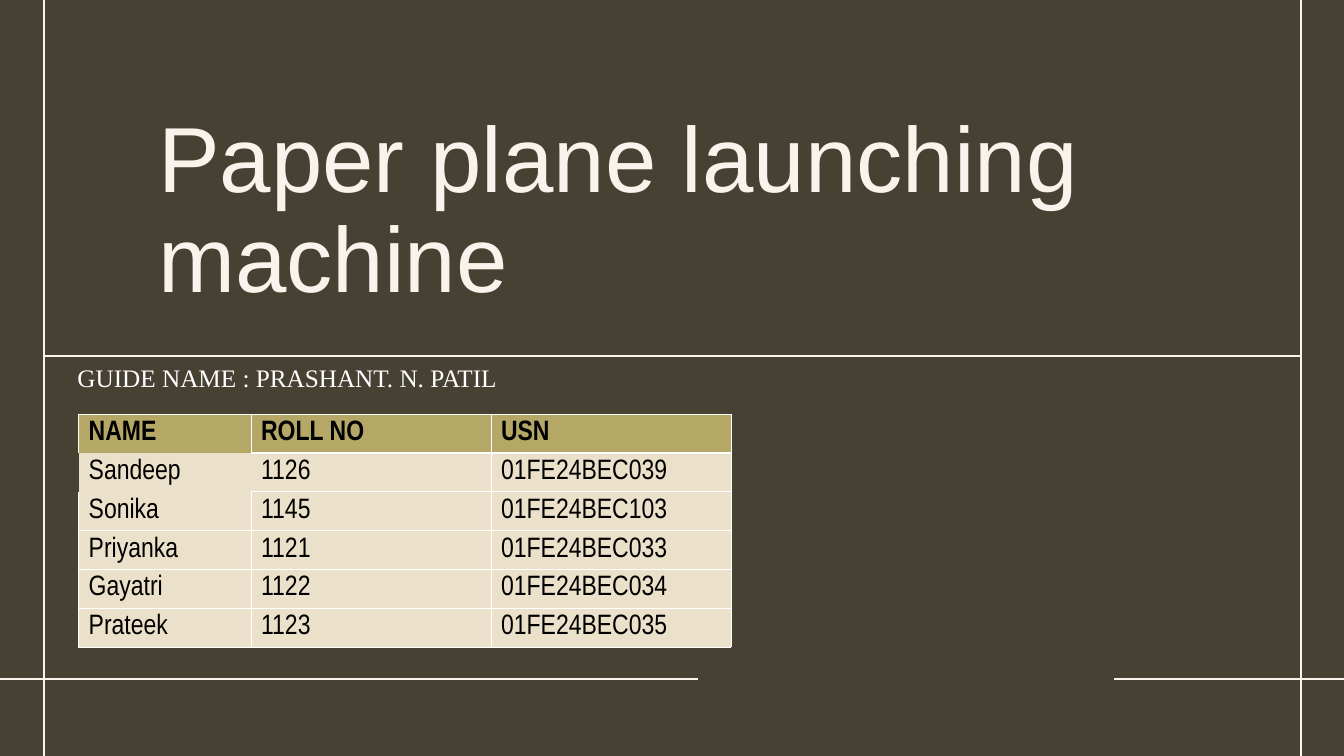
from dataclasses import dataclass

from lxml import etree
from pptx import Presentation
from pptx.dml.color import RGBColor
from pptx.enum import shapes, text
from pptx.oxml import ns
from pptx.util import Inches, Pt

COLORS = {
    "background": "474134",
    "cream": "F8F4EC",
    "white": "FFFFFF",
    "black": "000000",
    "header": "B5A766",
    "body": "EBE0C9",
}
THIN, THICK = 0.64, 1.92


@dataclass(frozen=True)
class Rule:
    """A straight decorative line, in inches."""
    x1: float
    y1: float
    x2: float
    y2: float


RULES = [
    Rule(0.44, 7.5, 0.44, 0),
    Rule(12.9, 7.5, 12.9, 0),
    Rule(0.44, 3.53, 12.9, 3.53),
    Rule(-0.01, 6.74, 6.92, 6.74),
    Rule(11.05, 6.74, 13.33, 6.74),
]


@dataclass(frozen=True)
class Student:
    """One row of the team table."""
    name: str
    roll: str
    usn: str


STUDENTS = [
    Student("NAME", "ROLL NO", "USN"),
    Student("Sandeep", "1126", "01FE24BEC039"),
    Student("Sonika", "1145", "01FE24BEC103"),
    Student("Priyanka", "1121", "01FE24BEC033"),
    Student("Gayatri", "1122", "01FE24BEC034"),
    Student("Prateek", "1123", "01FE24BEC035"),
]
COLUMN_WIDTHS = [1.71, 2.38, 2.38]
OPEN_EDGES = {(0, 0): "B", (1, 0): "LRTB", (1, 1): "L", (2, 0): "T"}


def color(name: str) -> RGBColor:
    """Return a palette colour."""
    return RGBColor.from_string(COLORS[name])


def style_font(font, face: str, size: float, color_name: str, bold: bool = False) -> None:
    """Set face, size, colour and weight."""
    font.name, font.size, font.bold = face, Pt(size), bold
    font.color.rgb = color(color_name)


def draw_rule(slide, rule: Rule) -> None:
    """Draw one decorative line without a shadow."""
    connector = slide.shapes.add_connector(
        shapes.MSO_CONNECTOR.STRAIGHT,
        Inches(rule.x1), Inches(rule.y1), Inches(rule.x2), Inches(rule.y2))
    connector.line.color.rgb = color("cream")
    connector.line.width = Pt(1.25)
    etree.SubElement(connector._element.spPr, ns.qn("a:effectLst"))


def set_borders(cell, widths: dict[str, float]) -> None:
    """Add the cell's four borders; a zero width leaves the edge open."""
    properties = cell._tc.get_or_add_tcPr()
    for position, (side, width) in enumerate(widths.items()):
        line = etree.Element(ns.qn(f"a:ln{side}"), w=str(int(Pt(width))))
        if width:
            fill = etree.SubElement(line, ns.qn("a:solidFill"))
            etree.SubElement(fill, ns.qn("a:srgbClr"), val=COLORS["white"])
        else:
            etree.SubElement(line, ns.qn("a:noFill"))
        properties.insert(position, line)


def border_widths(row: int, column: int) -> dict[str, float]:
    """Return border widths, thick below the header and zero on open edges."""
    widths = dict.fromkeys("LRTB", THIN)
    if row < 2:
        widths["B" if row == 0 else "T"] = THICK
    widths.update(dict.fromkeys(OPEN_EDGES.get((row, column), ""), 0))
    return widths


def add_title(slide) -> None:
    """Place and format the title."""
    title = slide.shapes.title
    title.left, title.top = Inches(1.47), Inches(0.54)
    title.width, title.height = Inches(11.27), Inches(2.61)
    frame = title.text_frame
    frame.text = "Paper plane launching machine"
    frame.word_wrap = True
    frame.auto_size = text.MSO_AUTO_SIZE.NONE
    frame.vertical_anchor = text.MSO_ANCHOR.BOTTOM
    paragraph = frame.paragraphs[0]
    paragraph.alignment = text.PP_ALIGN.LEFT
    paragraph.line_spacing = 0.9
    style_font(paragraph.runs[0].font, "Arial", 66, "cream")


def add_guide(slide) -> None:
    """Add the guide's name."""
    guide = slide.shapes.add_textbox(Inches(0.67), Inches(3.55), Inches(6.68), Inches(0.4))
    frame = guide.text_frame
    frame.text = "GUIDE NAME : PRASHANT. N. PATIL"
    frame.word_wrap = True
    frame.auto_size = text.MSO_AUTO_SIZE.SHAPE_TO_FIT_TEXT
    style_font(frame.paragraphs[0].runs[0].font, "Times New Roman", 18, "white")


def add_team_table(slide) -> None:
    """Add the table of students."""
    table = slide.shapes.add_table(
        len(STUDENTS), len(COLUMN_WIDTHS), Inches(0.78), Inches(4.11),
        Inches(sum(COLUMN_WIDTHS)), Inches(2.31)).table
    table.horz_banding = False
    for column, width in zip(table.columns, COLUMN_WIDTHS):
        column.width = Inches(width)
    for row, student in enumerate(STUDENTS):
        is_header = row == 0
        for column, value in enumerate((student.name, student.roll, student.usn)):
            cell = table.cell(row, column)
            cell.text_frame.text = value
            cell.fill.solid()
            cell.fill.fore_color.rgb = color("header" if is_header else "body")
            set_borders(cell, border_widths(row, column))
            paragraph = cell.text_frame.paragraphs[0]
            paragraph.line_spacing = Pt(19.5)
            style_font(paragraph.runs[0].font, "Arial Narrow", 20, "black", is_header)


def main() -> None:
    """Build the title slide and save it."""
    presentation = Presentation()
    presentation.slide_width, presentation.slide_height = Inches(13.33), Inches(7.5)
    slide = presentation.slides.add_slide(presentation.slide_layouts.get_by_name("Title Only"))
    slide.background.fill.solid()
    slide.background.fill.fore_color.rgb = color("background")
    for rule in RULES:
        draw_rule(slide, rule)
    add_title(slide)
    add_guide(slide)
    add_team_table(slide)
    presentation.save("out.pptx")


if __name__ == "__main__":
    main()
